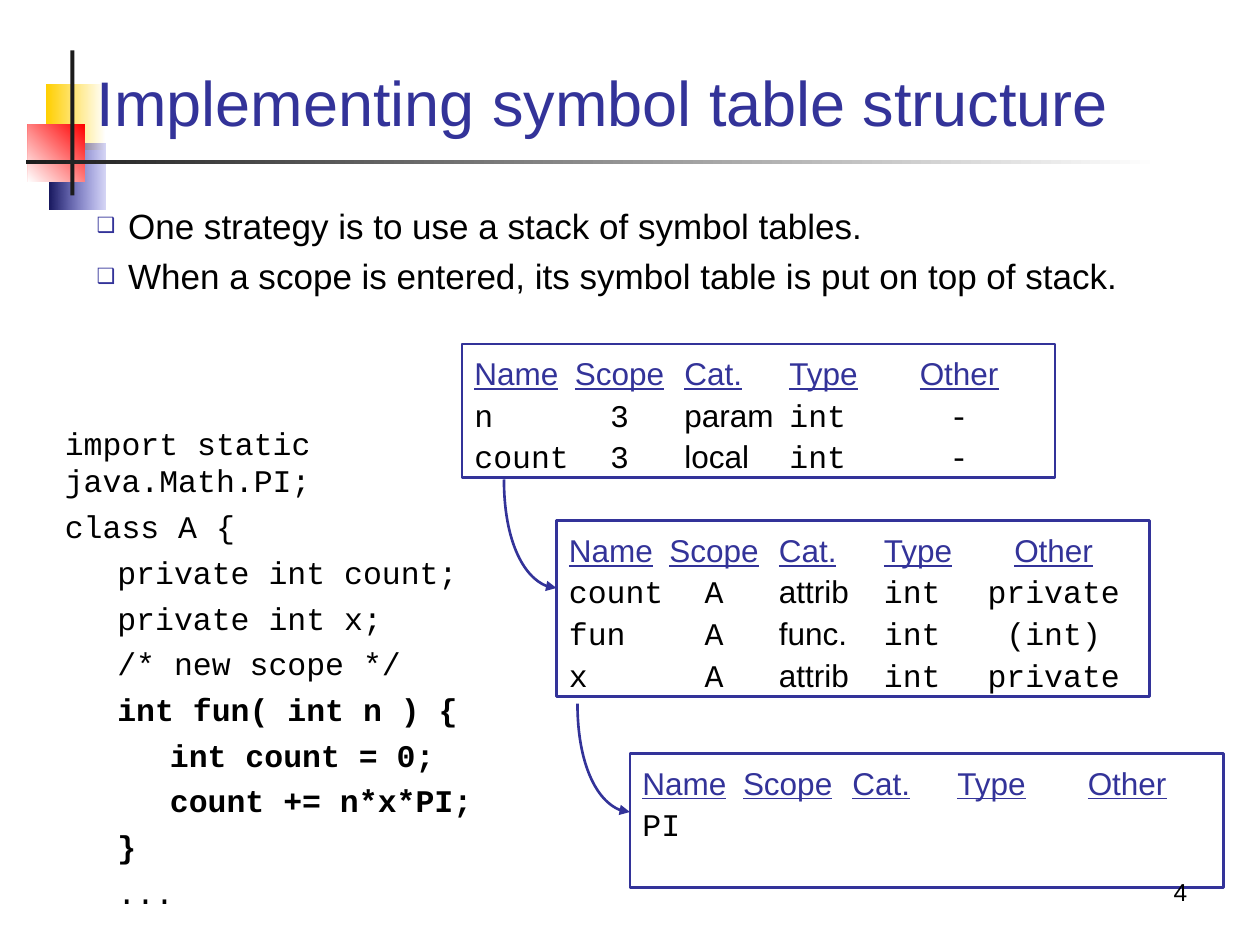
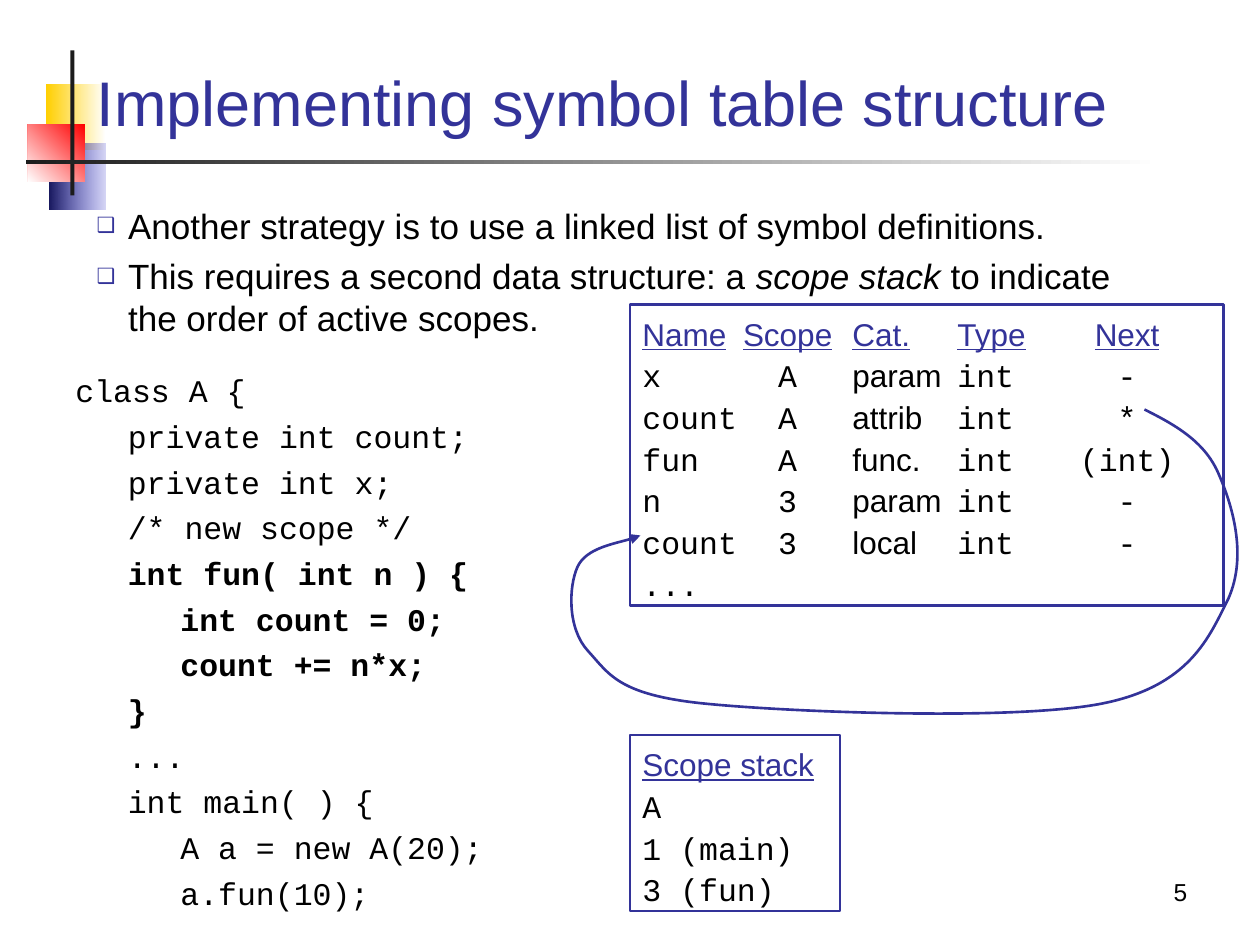
"""Build two slides on symbol table structures for nested scopes."""
from lxml.etree import SubElement
from pptx import Presentation
from pptx.dml.color import RGBColor
from pptx.enum.shapes import MSO_SHAPE
from pptx.enum.text import MSO_ANCHOR, MSO_AUTO_SIZE, PP_ALIGN
from pptx.oxml.ns import qn
from pptx.util import Pt

COLORS = {"navy": "333399", "black": "000000", "white": "FFFFFF", "yellow": "FFCF01",
          "blue": "3333CC", "midnight": "17175E", "red": "FF0000", "charcoal": "1C1C1C"}
SANS, MONO = "Arial", "Courier New"
TITLE = "Implementing symbol table structure"
TITLE_PLACE = (48, 20, 624, 63)
BODY_PLACE = (48, 108, 624, 88.5)
NUMBER_PLACE = (535.5, 485.5, 150, 36)
CODE_TABS = [(30, "l"), (60, "l")]
TABLE_TABS = [(83, "ctr"), (120, "l"), (180, "l"), (277, "ctr")]
TABLE_WIDTH = 339

DECORATION = [
    ((26.5, 48, 34, 37.5), ("white", "yellow"), 180),
    ((28, 82, 32.5, 37.5), ("blue", "midnight"), 180),
    ((16, 71, 32.5, 33), ("red", "white"), 225),
    ((40.25, 28.75, 2.25, 83), ("charcoal", "charcoal"), 0),
    ((15, 91.25, 648, 2.25), ("white", "charcoal"), 180),
]

FIELDS = [(1, "private int count;", False), (1, "private int x;", False),
          (1, "/* new scope */", False), (1, "int fun( int n ) {", True),
          (2, "int count = 0;", True)]
HEADER = ("Name", "Scope", "Cat.", "Type")
ARC = [(0, 0), (0, 34), (13.5, 62), (30, 62)]

SLIDES = [
    {
        "number": "4",
        "bullets": [
            [("One strategy is to use a stack of symbol tables.", False)],
            [("When a scope is entered, its symbol table is put on top of stack.", False)],
        ],
        "code_place": (30, 234, 258, 286),
        "code": [(0, "import static java.Math.PI;", False), (0, "class A {", False), *FIELDS,
                 (2, "count += n*x*PI;", True), (1, "}", True), (1, "...", False)],
        "tables": [
            ((318, 297.5, TABLE_WIDTH, 100.5), HEADER + ("Other",),
             [("count", "A", "attrib", "int", "private"),
              ("fun", "A", "func.", "int", "(int)"),
              ("x", "A", "attrib", "int", "private")]),
            ((264, 196.5, TABLE_WIDTH, 76.5), HEADER + ("Other",),
             [("n", "3", "param", "int", "-"),
              ("count", "3", "local", "int", "-")]),
            ((360, 430.5, TABLE_WIDTH, 76.5), HEADER + ("Other",), [("PI",)]),
        ],
        "arrows": [[(left + x, top + y) for x, y in ARC]
                   for left, top in [(288, 274), (330, 402)]],
    },
    {
        "number": "5",
        "bullets": [
            [("Another strategy is to use a linked list of symbol definitions.", False)],
            [("This requires a second data structure: a ", False), ("scope stack", True),
             (" to indicate the order of active scopes.", False)],
        ],
        "code_place": (36, 204, 258, 316),
        "code": [(0, "class A {", False), *FIELDS,
                 (2, "count += n*x;", True), (1, "}", True), (1, "...", False),
                 (1, "int main( ) {", False), (2, "A a = new A(20);", False),
                 (2, "a.fun(10);", False)],
        "tables": [
            ((360, 174, TABLE_WIDTH, 172), HEADER + ("Next",),
             [("x", "A", "param", "int", "-"),
              ("count", "A", "attrib", "int", "*"),
              ("fun", "A", "func.", "int", "(int)"),
              ("n", "3", "param", "int", "-"),
              ("count", "3", "local", "int", "-"),
              ("...",)]),
            ((360, 420, 120, 100.5), ("Scope stack",),
             [("A",), ("1 (main)",), ("3 (fun)",)]),
        ],
        "arrows": [[(654, 234),
                    (671, 242.5), (688, 252), (696, 270),
                    (704, 288), (713, 317), (702, 342),
                    (691, 364), (680, 392), (630, 402),
                    (580, 412), (451, 407), (402, 402),
                    (353, 397), (348, 385), (336, 372),
                    (324, 359), (325, 335), (330, 324),
                    (335, 313), (360, 309), (366, 306)]],
    },
]


def rgb(name):
    return RGBColor.from_string(COLORS[name])


def points(values):
    return [Pt(value) for value in values]


def place(shape, position):
    shape.left, shape.top, shape.width, shape.height = points(position)


def style(font, name, size, color="black"):
    font.name, font.size = name, Pt(size)
    font.color.rgb = rgb(color)


def prepare_frame(shape, space=0, anchor=MSO_ANCHOR.TOP):
    frame = shape.text_frame
    frame.word_wrap = True
    frame.auto_size = MSO_AUTO_SIZE.NONE
    frame.vertical_anchor = anchor
    frame.margin_left = frame.margin_right = Pt(7.2)
    frame.margin_top, frame.margin_bottom = Pt(3.6 + space), Pt(3.6)
    return frame


def next_paragraph(frame, index, space):
    paragraph = frame.add_paragraph() if index else frame.paragraphs[0]
    paragraph.alignment = PP_ALIGN.LEFT
    paragraph.space_before = Pt(space if index else 0)
    return paragraph


def add_tabs(paragraph, tabs):
    tab_list = SubElement(paragraph._p.get_or_add_pPr(), qn("a:tabLst"))
    for position, alignment in tabs:
        SubElement(tab_list, qn("a:tab"), pos=str(Pt(position)), algn=alignment)


def add_bullet(paragraph):
    properties = paragraph._p.get_or_add_pPr()
    properties.set("marL", str(Pt(18)))
    properties.set("indent", str(Pt(-18)))
    color = SubElement(properties, qn("a:buClr"))
    SubElement(color, qn("a:srgbClr"), val=COLORS["navy"])
    SubElement(properties, qn("a:buSzPct"), val="60000")
    SubElement(properties, qn("a:buChar"), char="❑")


def decorate_layout(slide, layout):
    for index, (position, colors, angle) in enumerate(DECORATION):
        shape = slide.shapes.add_shape(MSO_SHAPE.RECTANGLE, *points(position))
        shape.shadow.inherit = False
        shape.line.fill.background()
        if colors[0] == colors[1]:
            shape.fill.solid()
            shape.fill.fore_color.rgb = rgb(colors[0])
        else:
            shape.fill.gradient()
            shape.fill.gradient_angle = angle
            for stop, color in zip(shape.fill.gradient_stops, colors):
                stop.color.rgb = rgb(color)
        if colors[0] == "blue":
            first_color = shape.element.xpath(".//a:gs/a:srgbClr")[0]
            SubElement(first_color, qn("a:alpha"), val="20000")
        shape.element.nvSpPr.cNvPr.set("id", str(20 + index))
        layout.shapes.element.insert(2 + index, shape.element)


def fill_title(slide):
    frame = prepare_frame(slide.shapes.title, anchor=MSO_ANCHOR.BOTTOM)
    frame.text = TITLE
    paragraph = next_paragraph(frame, 0, 0)
    style(paragraph.font, SANS, 36, "navy")


def fill_bullets(slide, bullets):
    frame = prepare_frame(slide.placeholders[1], 5)
    for index, runs in enumerate(bullets):
        paragraph = next_paragraph(frame, index, 5)
        add_bullet(paragraph)
        style(paragraph.font, SANS, 20)
        for text, italic in runs:
            run = paragraph.add_run()
            run.text = text
            if italic:
                run.font.italic = True


def add_code(slide, position, lines):
    box = slide.shapes.add_textbox(*points(position))
    frame = prepare_frame(box, 4.5)
    for index, (level, text, bold) in enumerate(lines):
        paragraph = next_paragraph(frame, index, 4.5)
        add_tabs(paragraph, CODE_TABS)
        paragraph.add_run().text = "\t" * level + text
        style(paragraph.font, MONO, 18)
        paragraph.font.bold = bold


def add_symbol_table(slide, position, header, rows):
    box = slide.shapes.add_shape(MSO_SHAPE.RECTANGLE, *points(position))
    box.shadow.inherit = False
    box.fill.background()
    box.line.color.rgb = rgb("navy")
    box.line.width = Pt(1.5)
    frame = prepare_frame(box, 2.2)
    for index, cells in enumerate([header, *rows]):
        paragraph = next_paragraph(frame, index, 2.2)
        add_tabs(paragraph, TABLE_TABS)
        if index == 0:
            paragraph.add_run().text = "\t".join(cells)
            style(paragraph.font, SANS, 18, "navy")
            paragraph.font.underline = True
            continue
        for column, cell in enumerate(cells):
            run = paragraph.add_run()
            run.text = cell + ("\t" if column < len(cells) - 1 else "")
            style(run.font, SANS if column == 2 else MONO, 18)


def add_curved_arrow(slide, controls):
    start, *others = [points(control) for control in controls]
    builder = slide.shapes.build_freeform(*start)
    builder.add_line_segments(others, close=False)
    arrow = builder.convert_to_shape()
    arrow.shadow.inherit = False
    arrow.fill.background()
    arrow.line.color.rgb = rgb("navy")
    arrow.line.width = Pt(1.5)
    outline = arrow.element.xpath(".//a:path")[0]
    segments = outline.findall(qn("a:lnTo"))
    for first in range(0, len(segments), 3):
        curve = SubElement(outline, qn("a:cubicBezTo"))
        for segment in segments[first:first + 3]:
            curve.append(segment[0])
            outline.remove(segment)
    SubElement(arrow.element.spPr.find(qn("a:ln")), qn("a:tailEnd"), type="triangle")


def add_number(slide, number):
    box = slide.shapes.add_textbox(*points(NUMBER_PLACE))
    frame = prepare_frame(box, anchor=MSO_ANCHOR.BOTTOM)
    frame.text = number
    paragraph = frame.paragraphs[0]
    paragraph.alignment = PP_ALIGN.RIGHT
    style(paragraph.font, SANS, 14)


def main():
    presentation = Presentation()
    presentation.slide_width, presentation.slide_height = Pt(720), Pt(540)
    layout = presentation.slide_layouts[1]
    place(layout.placeholders[0], TITLE_PLACE)
    place(layout.placeholders[1], BODY_PLACE)
    for index, content in enumerate(SLIDES):
        slide = presentation.slides.add_slide(layout)
        if index == 0:
            decorate_layout(slide, layout)
        fill_title(slide)
        fill_bullets(slide, content["bullets"])
        add_code(slide, content["code_place"], content["code"])
        for table in content["tables"]:
            add_symbol_table(slide, *table)
        for controls in content["arrows"]:
            add_curved_arrow(slide, controls)
        add_number(slide, content["number"])
    presentation.save("out.pptx")


if __name__ == "__main__":
    main()
